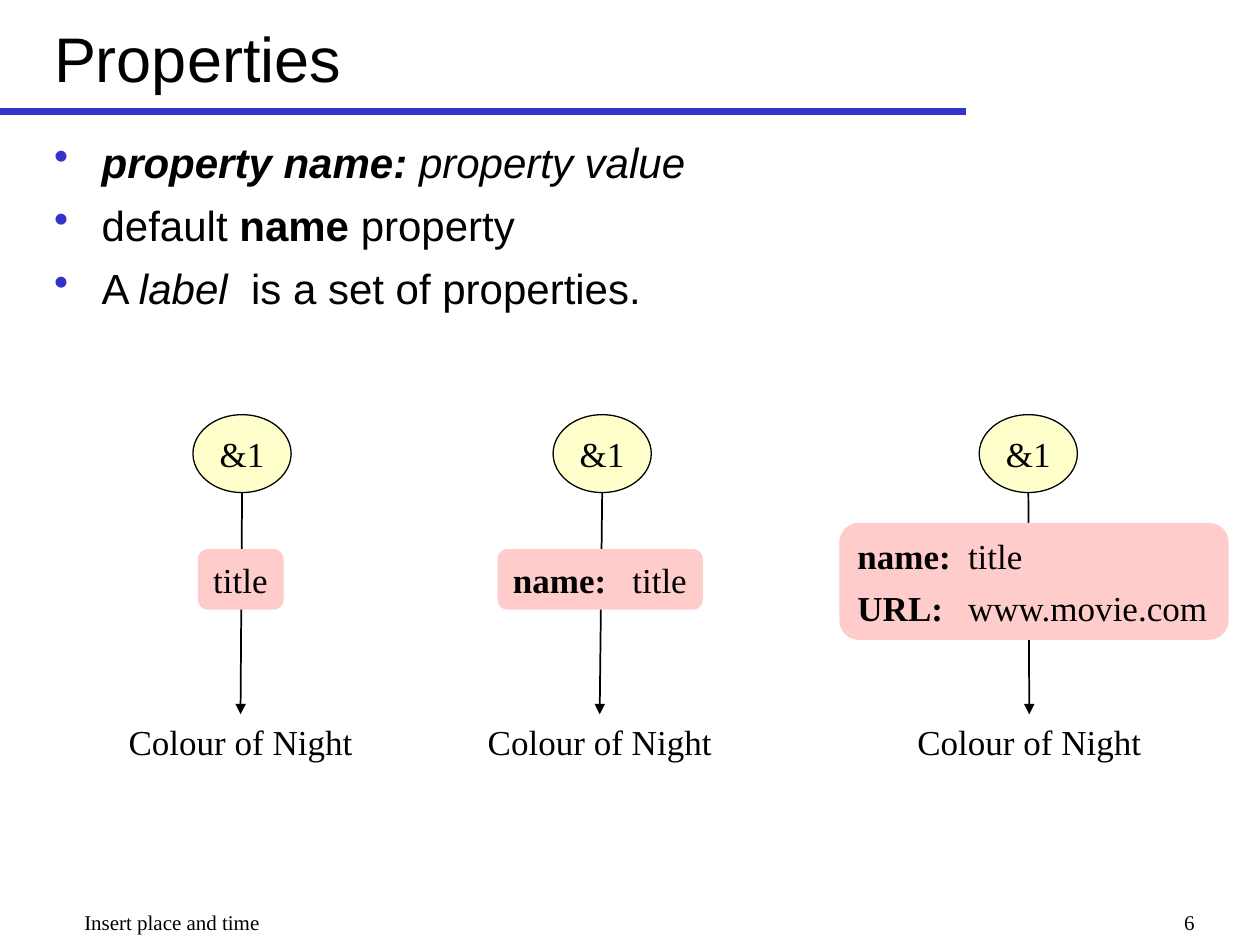
from lxml import etree
from pptx import Presentation
from pptx.dml.color import RGBColor
from pptx.enum.shapes import MSO_CONNECTOR, MSO_SHAPE
from pptx.enum.text import MSO_ANCHOR, PP_ALIGN
from pptx.oxml.ns import qn
from pptx.util import Cm, Pt

STRAIGHT = MSO_CONNECTOR.STRAIGHT
ELLIPSE = MSO_SHAPE.OVAL
ROUNDED = MSO_SHAPE.ROUNDED_RECTANGLE
TOP, MIDDLE = MSO_ANCHOR.TOP, MSO_ANCHOR.MIDDLE
LEFT, CENTER, RIGHT = PP_ALIGN.LEFT, PP_ALIGN.CENTER, PP_ALIGN.RIGHT

BLACK, BLUE, YELLOW, PINK = "000000", "3333CC", "FFFFCC", "FFCCCC"
SANS, SERIF = "Arial", "Times New Roman"

BULLETS = [
    [("property name: ", "bi"), ("property value", "i")],
    [("default ", ""), ("name ", "b"), ("property", "")],
    [("A ", ""), ("label ", "i"), (" is a set of properties.", "")],
]

# node centre, caption centre, label box, value tab stop, label paragraphs
DIAGRAMS = [
    (4.88, 4.85, (3.99, 11.07, 1.73, 1.22), None, [[("title", "")]]),
    (12.14, 12.09, (10.03, 11.07, 4.14, 1.22), 2.41,
     [[("name:", "b"), ("\ttitle", "")]]),
    (20.73, 20.75, (16.92, 10.54, 7.85, 2.36), 2.23,
     [[("name:", "b"), ("\ttitle", "")],
      [("URL:", "b"), ("\twww.movie.com", "")]]),
]


def color(value):
    return RGBColor.from_string(value)


def box_lengths(box):
    return [Cm(length) for length in box]


def add_bullet(paragraph):
    properties = paragraph._p.get_or_add_pPr()
    properties.set("marL", str(Cm(0.96)))
    properties.set("indent", str(Cm(-0.96)))
    bullet_color = etree.SubElement(properties, qn("a:buClr"))
    etree.SubElement(bullet_color, qn("a:srgbClr")).set("val", BLUE)
    etree.SubElement(properties, qn("a:buChar")).set("char", "•")


def add_tab_stop(paragraph, position):
    tabs = etree.SubElement(paragraph._p.get_or_add_pPr(), qn("a:tabLst"))
    etree.SubElement(tabs, qn("a:tab"), pos=str(Cm(position)), algn="l")


def write(shape, paragraphs, size, font=SERIF, align=LEFT, anchor=TOP,
          space=0, bullets=False, tab=None, wrap=True):
    """Fill a shape with paragraphs of (text, style) runs; style holds b and i."""
    frame = shape.text_frame
    frame.word_wrap = wrap
    frame.vertical_anchor = anchor
    for index, runs in enumerate(paragraphs):
        paragraph = frame.add_paragraph() if index else frame.paragraphs[0]
        if bullets:
            add_bullet(paragraph)
        if tab:
            add_tab_stop(paragraph, tab)
        paragraph.alignment = align
        if index:
            paragraph.space_before = Pt(space)
        for text, style in runs:
            run = paragraph.add_run()
            run.text = text
            run.font.name = font
            run.font.size = Pt(size)
            run.font.bold = "b" in style
            run.font.italic = "i" in style
            run.font.color.rgb = color(BLACK)


def add_text(shapes, box, paragraphs, size, **options):
    shape = shapes.add_textbox(*box_lengths(box))
    write(shape, paragraphs, size, **options)
    return shape


def add_filled_shape(shapes, kind, box, fill, outline=None):
    shape = shapes.add_shape(kind, *box_lengths(box))
    shape.shadow.inherit = False
    shape.fill.solid()
    shape.fill.fore_color.rgb = color(fill)
    if outline:
        shape.line.color.rgb = color(outline)
        shape.line.width = Pt(0.75)
    else:
        shape.line.fill.background()
    return shape


def add_line(shapes, ends, line_color, width, arrow=False):
    connector = shapes.add_connector(STRAIGHT, *box_lengths(ends))
    connector.line.color.rgb = color(line_color)
    connector.line.width = Pt(width)
    if arrow:
        etree.SubElement(connector.line._get_or_add_ln(), qn("a:tailEnd"),
                         type="triangle")
    etree.SubElement(connector._element.spPr, qn("a:effectLst"))
    return connector


def add_diagram(slide, node_x, caption_x, label_box, tab, label_text):
    """Draw a node with a labelled arrow down to its caption."""
    shapes = slide.shapes.add_group_shape().shapes
    arrow = add_line(shapes, (node_x, 9.88, caption_x, 14.4), BLACK, 1,
                     arrow=True)
    caption = add_text(shapes, (caption_x - 2.51, 14.4, 5.02, 1.12),
                       [[("Colour of Night", "")]], 20, align=CENTER,
                       wrap=False)
    arrow.end_connect(caption, 0)
    node = add_filled_shape(shapes, ELLIPSE,
                            (node_x - 0.99, 8.36, 1.98, 1.57), YELLOW, BLACK)
    write(node, [[("&1", "")]], 20, align=CENTER, anchor=MIDDLE, wrap=False)
    label = add_filled_shape(shapes, ROUNDED, label_box, PINK)
    label.text_frame.margin_right = 0
    write(label, label_text, 20, anchor=MIDDLE, space=6, tab=tab)


def main():
    presentation = Presentation()
    presentation.slide_width = Cm(25.4)
    presentation.slide_height = Cm(19.05)
    slide = presentation.slides.add_slide(presentation.slide_layouts[6])
    shapes = slide.shapes

    add_line(shapes, (0, 2.24, 19.48, 2.24), BLUE, 4)
    add_text(shapes, (0.84, 0.1, 18.92, 2.11), [[("Properties", "")]], 36,
             font=SANS, anchor=MIDDLE)
    add_text(shapes, (0.84, 2.62, 23.5, 15.04), BULLETS, 24, font=SANS,
             space=7.2, bullets=True)
    for diagram in DIAGRAMS:
        add_diagram(slide, *diagram)

    footer = add_text(shapes, (0.84, 18.21, 16.84, 0.64),
                      [[("Insert place and time", "")]], 12)
    footer.text_frame.margin_left = Cm(0.86)
    add_text(shapes, (19.05, 18.21, 5.28, 0.64), [[("6", "")]], 12,
             align=RIGHT)
    presentation.save("out.pptx")


if __name__ == "__main__":
    main()
